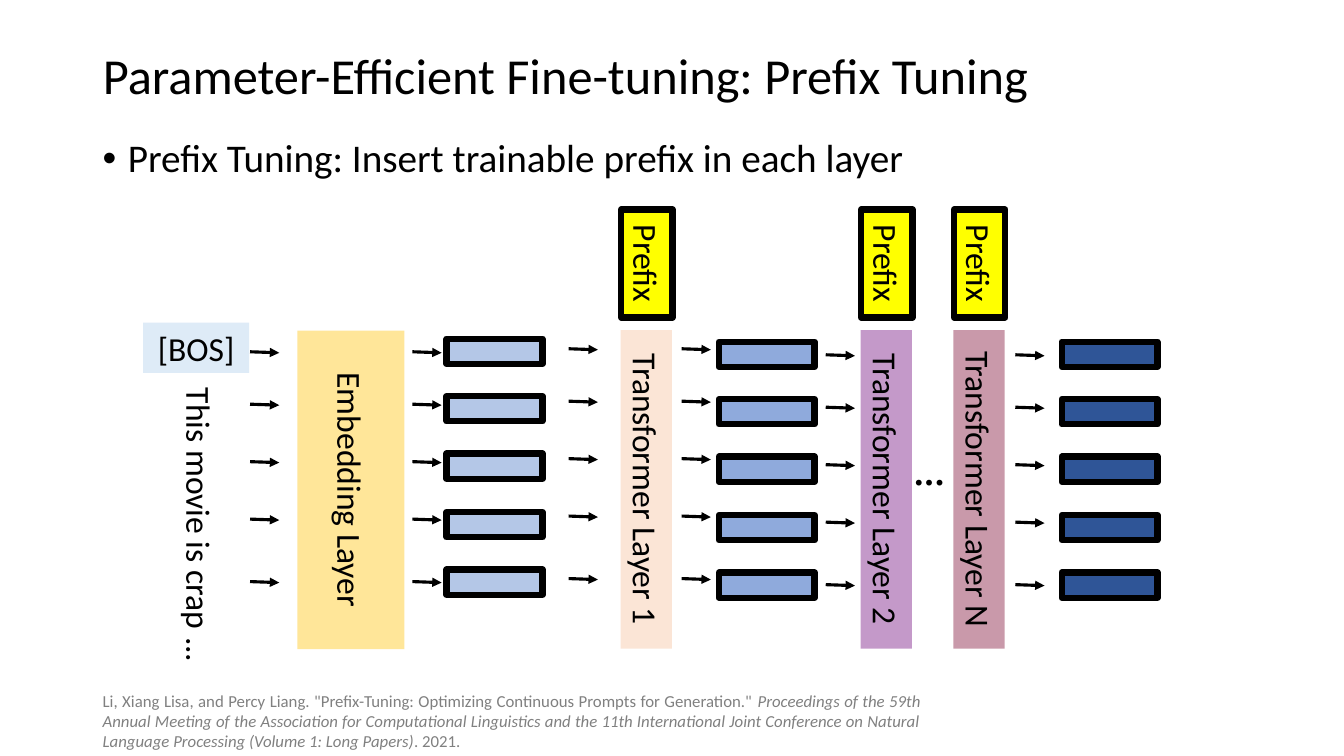
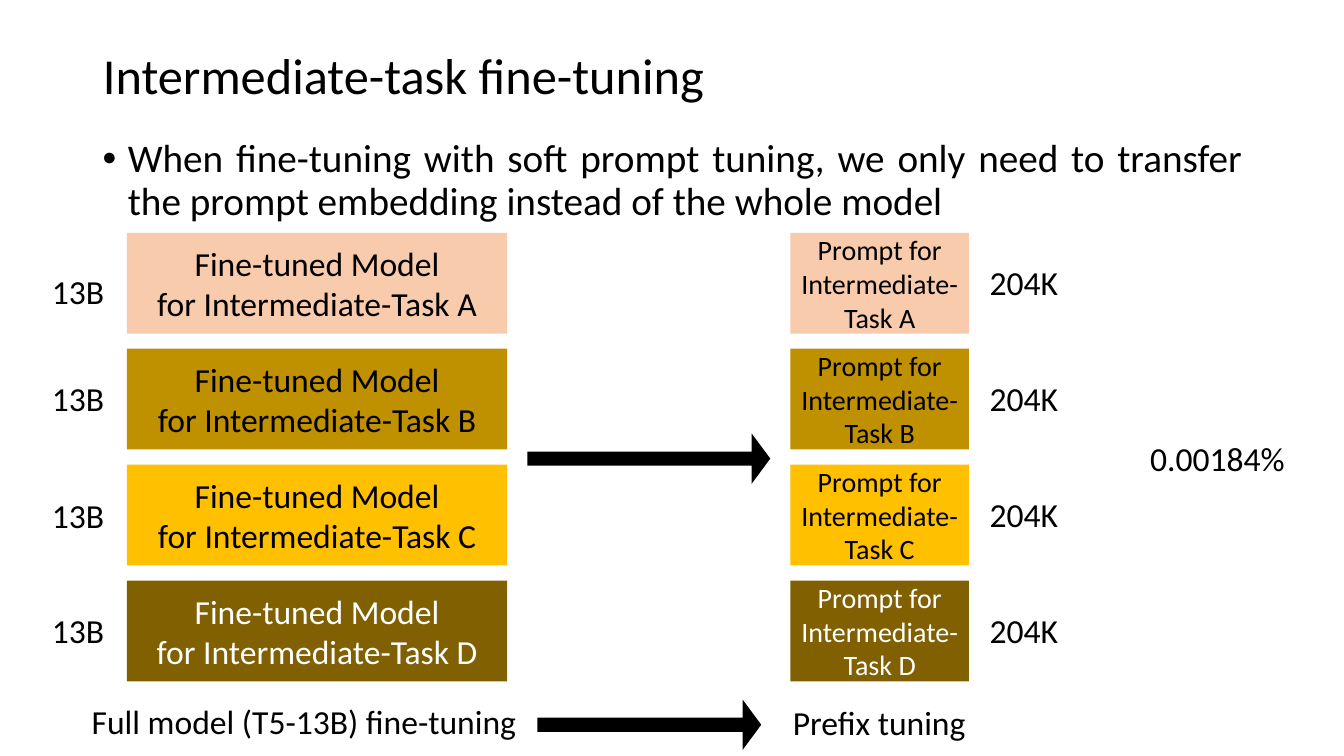
import lxml.etree
import pptx
import pptx.dml.color
import pptx.enum.shapes
import pptx.enum.text
import pptx.oxml.ns
import pptx.util

PX = 9144  # one hundredth of an inch
FONT = "Calibri"
BLACK, WHITE, GRAY = "000000", "FFFFFF", "808080"
ALIGN = pptx.enum.text.PP_ALIGN
ANCHOR = pptx.enum.text.MSO_ANCHOR
SHAPE = pptx.enum.shapes.MSO_SHAPE
TITLE_BOX = (92, 40, 1150, 75)
BODY_BOX = (92, 133, 1150, 542)
LABEL = {"size": 24, "color": BLACK, "align": ALIGN.CENTER}
HEADING = {"size": 36, "align": ALIGN.LEFT, "anchor": ANCHOR.MIDDLE, "spacing": 0.9}
BULLET = {"size": 28, "align": ALIGN.JUSTIFY, "spacing": 0.9, "bullet": True}
CITATION = [
    ('Li, Xiang Lisa, and Percy Liang. "Prefix-Tuning: Optimizing Continuous '
     'Prompts for Generation." ', False),
    ("Proceedings of the 59th Annual Meeting of the Association for Computational "
     "Linguistics and the 11th International Joint Conference on Natural Language "
     "Processing (Volume 1: Long Papers)", True),
    (". 2021.", False),
]


def rgb(value):
    return pptx.dml.color.RGBColor.from_string(value)


def emu(lengths):
    return [pptx.util.Emu(length * PX) for length in lengths]


def set_values(target, values):
    for name, value in values.items():
        setattr(target, name, value)


def add_element(parent, tag, **attributes):
    return lxml.etree.SubElement(parent, pptx.oxml.ns.qn(tag), attributes)


def add_bullet(paragraph):
    properties = paragraph._p.get_or_add_pPr()
    properties.set("marL", str(25 * PX))
    properties.set("indent", str(-25 * PX))
    add_element(properties, "a:buFont", typeface="Arial")
    add_element(properties, "a:buChar", char="•")


def write_text(shape, paragraphs, size, color=BLACK, align=ALIGN.LEFT,
               anchor=ANCHOR.TOP, spacing=None, bullet=False, bold=False):
    """Fill a shape; a paragraph is a string or a list of (text, italic) runs."""
    frame = shape.text_frame
    set_values(frame, {"word_wrap": True, "vertical_anchor": anchor,
                       "auto_size": pptx.enum.text.MSO_AUTO_SIZE.NONE})
    for index, content in enumerate(paragraphs):
        paragraph = frame.add_paragraph() if index else frame.paragraphs[0]
        if bullet:
            add_bullet(paragraph)
        set_values(paragraph, {"alignment": align, "line_spacing": spacing})
        for text, italic in [(content, False)] if isinstance(content, str) else content:
            run = paragraph.add_run()
            run.text = text
            set_values(run.font, {"name": FONT, "size": pptx.util.Pt(size),
                                  "bold": bold, "italic": italic})
            run.font.color.rgb = rgb(color)


def add_text(slide, box, paragraphs, **style):
    shape = slide.shapes.add_textbox(*emu(box))
    write_text(shape, paragraphs, **style)
    return shape


def add_block(slide, box, fill, outlined=False, kind=SHAPE.RECTANGLE, opacity=None):
    shape = slide.shapes.add_shape(kind, *emu(box))
    shape.shadow.inherit = False
    shape.fill.solid()
    shape.fill.fore_color.rgb = rgb(fill)
    if opacity is not None:
        color = shape._element.spPr.find(pptx.oxml.ns.qn("a:solidFill"))[0]
        add_element(color, "a:alpha", val=str(opacity * 1000))
    if outlined:
        shape.line.color.rgb = rgb(BLACK)
        shape.line.width = pptx.util.Pt(4.5)
    else:
        shape.line.fill.background()
    return shape


def turned(box):
    """Return the frame that covers the box after a quarter turn."""
    left, top, width, height = box
    return (left + (width - height) // 2, top + (height - width) // 2, height, width)


def add_turned_block(slide, box, text, fill, **look):
    shape = add_block(slide, turned(box), fill, **look)
    shape.rotation = 90
    write_text(shape, [text], anchor=ANCHOR.MIDDLE, **LABEL)


def add_thin_arrow(slide, left, top):
    connector = slide.shapes.add_connector(
        pptx.enum.shapes.MSO_CONNECTOR.STRAIGHT, *emu((left, top, left + 29, top + 1)))
    connector.line.color.rgb = rgb(BLACK)
    connector.line.width = pptx.util.Pt(2.25)
    add_element(connector.line._get_or_add_ln(), "a:tailEnd", type="triangle")
    add_element(connector._element.spPr, "a:effectLst")


def add_thick_arrow(slide, box):
    arrow = add_block(slide, box, BLACK, kind=SHAPE.RIGHT_ARROW)
    arrow.adjustments[0], arrow.adjustments[1] = 0.28, 0.37


def add_arrow_column(slide, left, top):
    for offset in (0, 52, 109, 166, 228):
        add_thin_arrow(slide, left, top + offset)


def add_vector_column(slide, left, top, fill):
    for row in range(5):
        add_block(slide, (left, top + round(row * 57.25), 95, 25), fill, outlined=True)


def add_transformer(slide, left, name, fill, opacity=None):
    """Add a layer bar with its prefix above it."""
    add_turned_block(slide, (left, 328, 51, 316), f"Transformer Layer {name}", fill,
                     opacity=opacity)
    add_turned_block(slide, (left, 208, 51, 107), "Prefix", "FFFF00", outlined=True)


def add_input(slide, left, top):
    token = add_block(slide, (left, top, 105, 50), "DEEBF7")
    write_text(token, ["[BOS]"], **LABEL)
    sentence = add_text(slide, turned((left + 31, top + 55, 50, 312)),
                        ["This movie is crap ..."], size=24)
    sentence.rotation = 90


def add_task_column(slide, left, top, width, opening, size):
    """Stack one card per task; opening is the list of lines before the name."""
    tasks = (("A", "F8CBAD", BLACK), ("B", "BF9000", BLACK),
             ("C", "FFC000", BLACK), ("D", "806000", WHITE))
    for row, (task, fill, color) in enumerate(tasks):
        card = add_block(slide, (left, top + 115 * row, width, 100), fill)
        first, second = opening
        write_text(card, [first, f"{second} {task}"], size=size, color=color,
                   align=ALIGN.CENTER, anchor=ANCHOR.MIDDLE)


def add_label_column(slide, left, tops, text):
    for top in tops:
        add_text(slide, (left, top, 89, 50), [text], **LABEL)


def add_titled_slide(presentation, title, point):
    slide = presentation.slides.add_slide(presentation.slide_layouts[5])
    heading = slide.shapes.title
    names = ("left", "top", "width", "height")
    set_values(heading, dict(zip(names, emu(TITLE_BOX))))
    write_text(heading, [title], **HEADING)
    add_text(slide, BODY_BOX, [point], **BULLET)
    return slide


def build_prefix_tuning(presentation):
    slide = add_titled_slide(presentation,
                             "Parameter-Efficient Fine-tuning: Prefix Tuning",
                             "Prefix Tuning: Insert trainable prefix in each layer")
    add_input(slide, 142, 320)
    add_turned_block(slide, (295, 328, 106, 316), "Embedding Layer", "FFE699")
    for left, top, fill in ((443, 336, "B4C7E7"), (713, 339, "8FAADC"),
                            (1053, 339, "2F5597")):
        add_vector_column(slide, left, top, fill)
    for left, top in ((248, 349), (409, 349), (564, 346),
                      (676, 346), (819, 352), (1007, 352)):
        add_arrow_column(slide, left, top)
    add_transformer(slide, 616, "1", "FBE5D6")
    add_transformer(slide, 854, "2", "71097D", opacity=41)
    add_transformer(slide, 946, "N", "7D0931", opacity=41)
    dots = add_text(slide, (896, 463, 51, 57), ["..."], size=28, bold=True)
    dots.rotation = 180
    add_text(slide, (92, 695, 831, 40), [CITATION], size=12, color=GRAY,
             align=ALIGN.JUSTIFY, anchor=ANCHOR.MIDDLE)


def build_intermediate_task(presentation):
    slide = add_titled_slide(presentation, "Intermediate-task fine-tuning",
                             "When fine-tuning with soft prompt tuning, we only need to "
                             "transfer the prompt embedding instead of the whole model")
    add_task_column(slide, 126, 231, 377, ("Fine-tuned Model", "for Intermediate-Task"), 24)
    add_task_column(slide, 784, 231, 177, ("Prompt for", "Intermediate-Task"), 20)
    add_label_column(slide, 33, (264, 370, 486, 600), "13B")
    add_label_column(slide, 971, range(255, 601, 115), "204K")
    for box, text in (((70, 690, 463, 50), "Full model (T5-13B) fine-tuning"),
                      ((764, 691, 216, 50), "Prefix tuning"),
                      ((1118, 430, 179, 50), "0.00184%")):
        add_text(slide, box, [text], **LABEL)
    for box in ((523, 430, 241, 50), (533, 694, 222, 50)):
        add_thick_arrow(slide, box)


def main():
    presentation = pptx.Presentation()
    width, height = emu((1333, 750))
    set_values(presentation, {"slide_width": width, "slide_height": height})
    build_prefix_tuning(presentation)
    build_intermediate_task(presentation)
    presentation.save("out.pptx")


if __name__ == "__main__":
    main()
